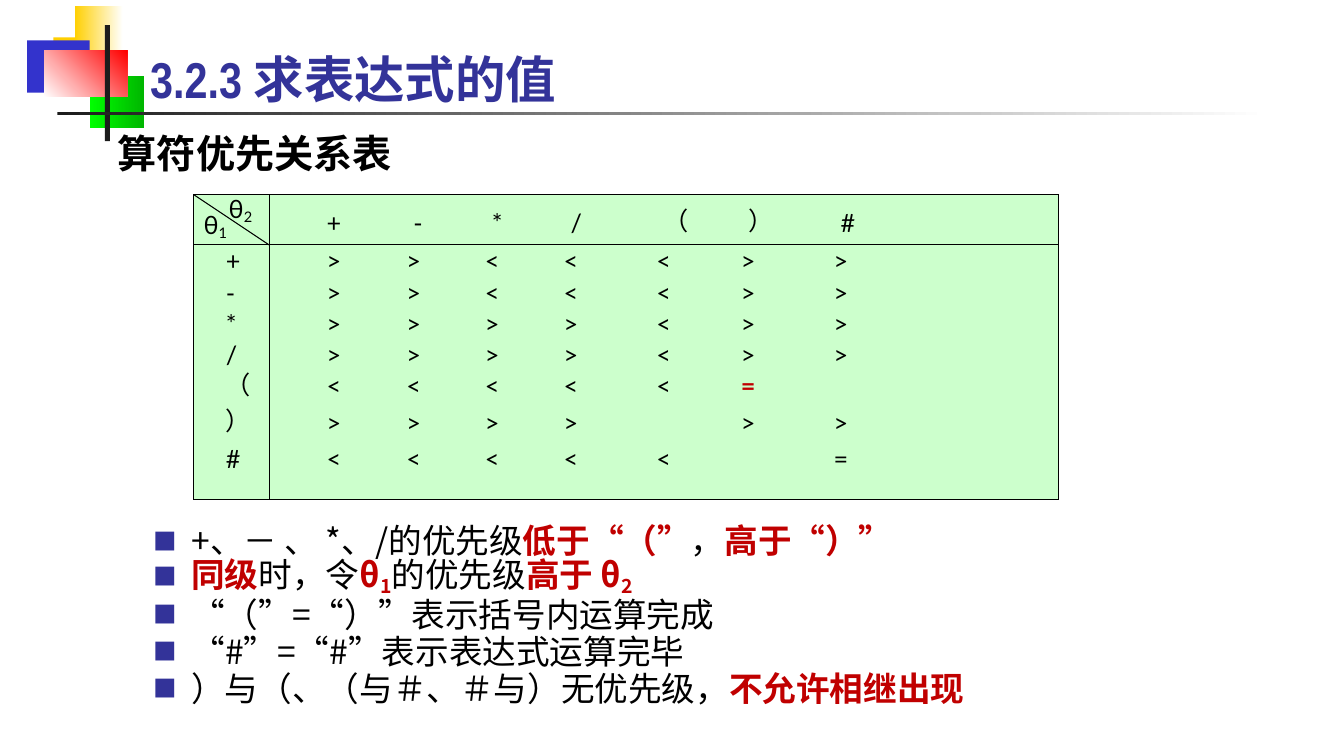
import pptx
import pptx.dml.color
import pptx.enum.shapes
import pptx.enum.text
import pptx.oxml
import pptx.oxml.ns
import pptx.util
import lxml.etree

RGB = pptx.dml.color.RGBColor
BLACK = RGB(0x00, 0x00, 0x00)
INK = RGB(0x1C, 0x1C, 0x1C)
WHITE = RGB(0xFF, 0xFF, 0xFF)
GOLD = RGB(0xFF, 0xCF, 0x01)
BLUE = RGB(0x33, 0x33, 0xCC)
NAVY = RGB(0x33, 0x33, 0x99)
LIME = RGB(0x00, 0xFF, 0x00)
GREEN = RGB(0x00, 0xB6, 0x00)
RED = RGB(0xFF, 0x00, 0x00)
CRIMSON = RGB(0xC0, 0x00, 0x00)
MINT = RGB(0xCC, 0xFF, 0xCC)

HAN = "Noto Sans CJK SC"
LATO = "Lato"
PLAIN, HOT, LOW, HOTLOW = "plain", "hot", "low", "hotlow"

SIGNS = ["+", "-", "*", "/", "（", "）", "#"]
RANKS = [
    [">", ">", "<", "<", "<", ">", ">"],
    [">", ">", "<", "<", "<", ">", ">"],
    [">", ">", ">", ">", "<", ">", ">"],
    [">", ">", ">", ">", "<", ">", ">"],
    ["<", "<", "<", "<", "<", "=", ""],
    [">", ">", ">", ">", "", ">", ">"],
    ["<", "<", "<", "<", "<", "", "="],
]
WIDTHS = [75, 116, 78, 78, 92, 84, 92, 243]
HEIGHTS = [50] + [31] * 6 + [56]
RULES = [
    [("+、－ 、 *、/的优先级", PLAIN), ("低于“（”", HOT), ("，", PLAIN),
     ("高于“）”", HOT)],
    [("同级", HOT), ("时，令", PLAIN), ("θ", HOT), ("1", HOTLOW),
     ("的优先级", PLAIN), ("高于 θ", HOT), ("2", HOTLOW)],
    [("“（”=“）”表示括号内运算完成", PLAIN)],
    [("“#”=“#”表示表达式运算完毕", PLAIN)],
    [("）与（、（与＃、＃与）无优先级，", PLAIN), ("不允许相继出现", HOT)],
]


def px(n):
    return pptx.util.Emu(n * 9144)


def node(up, tag, **attrs):
    """Append a DrawingML child element."""
    kid = lxml.etree.SubElement(up, pptx.oxml.ns.qn(tag))
    for key, val in attrs.items():
        kid.set(key, str(val))
    return kid


class Deck:
    def __init__(self):
        self.prs = pptx.Presentation()
        self.prs.slide_width, self.prs.slide_height = px(1333), px(750)
        self.slide = self.prs.slides.add_slide(self.prs.slide_layouts[5])
        self.shapes = self.slide.shapes

    def style(self, para, size, face, color=BLACK, bold=False):
        font = para.font
        font.size, font.name, font.bold = pptx.util.Pt(size), face, bold
        font.color.rgb = color
        node(font._element, "a:ea", typeface=HAN)

    def fill(self, para, parts):
        for text, kind in parts:
            run = para.add_run()
            run.text = text
            if kind in (HOT, HOTLOW):
                run.font.bold = True
                run.font.color.rgb = CRIMSON
            if kind in (LOW, HOTLOW):
                run.font._element.set("baseline", "-16000")

    def title(self, text, x, y, w, h):
        shape = self.shapes.title
        shape.left, shape.top, shape.width, shape.height = map(px, (x, y, w, h))
        frame = shape.text_frame
        frame.auto_size = pptx.enum.text.MSO_AUTO_SIZE.NONE
        frame.margin_top = frame.margin_bottom = 0
        frame.vertical_anchor = pptx.enum.text.MSO_ANCHOR.TOP
        frame.text = text
        para = frame.paragraphs[0]
        para.alignment = pptx.enum.text.PP_ALIGN.LEFT
        self.style(para, 36, "Arial Narrow", NAVY, True)

    def block(self, x, y, w, h, color, end=None, angle=0):
        """Draw a borderless rectangle, with a gradient if end is given."""
        kind = pptx.enum.shapes.MSO_SHAPE.RECTANGLE
        shape = self.shapes.add_shape(kind, *map(px, (x, y, w, h)))
        shape.shadow.inherit = False
        shape.line.fill.background()
        if end is None:
            shape.fill.solid()
            shape.fill.fore_color.rgb = color
            return
        shape.fill.gradient()
        shape.fill.gradient_angle = angle
        for stop, tone in zip(shape.fill.gradient_stops, (color, end)):
            stop.color.rgb = tone

    def line(self, x1, y1, x2, y2):
        kind = pptx.enum.shapes.MSO_CONNECTOR.STRAIGHT
        line = self.shapes.add_connector(kind, *map(px, (x1, y1, x2, y2)))
        line.line.color.rgb = BLACK
        line.line.width = pptx.util.Pt(0.75)
        node(line._element.spPr, "a:effectLst")

    def text(self, x, y, w, h, paras, size, face, bold=False, pitch=None,
             bullet=False):
        frame = self.shapes.add_textbox(*map(px, (x, y, w, h))).text_frame
        frame.word_wrap = True
        for i, parts in enumerate(paras):
            para = frame.add_paragraph() if i else frame.paragraphs[0]
            if pitch:
                para.line_spacing = pptx.util.Pt(pitch)
            if bullet:
                self.bullet(para)
            self.style(para, size, face, bold=bold)
            self.fill(para, parts)

    def bullet(self, para):
        props = para._p.get_or_add_pPr()
        props.set("marL", str(px(38)))
        props.set("indent", str(px(-38)))
        node(node(props, "a:buClr"), "a:srgbClr", val=NAVY)
        node(props, "a:buSzPct", val=70000)
        node(props, "a:buFont", typeface=HAN)
        node(props, "a:buChar", char="■")

    def cell(self, cell, text, left, top, hot, sides):
        cell.fill.solid()
        cell.fill.fore_color.rgb = MINT
        cell.margin_left, cell.margin_top = px(left), px(top)
        cell.margin_right = cell.margin_bottom = 0
        cell.vertical_anchor = pptx.enum.text.MSO_ANCHOR.TOP
        para = cell.text_frame.paragraphs[0]
        para.line_spacing = pptx.util.Pt(18)
        self.style(para, 18, LATO)
        if text:
            self.fill(para, [(text, HOT if hot else PLAIN)])
        props = cell._tc.get_or_add_tcPr()
        for i, side in enumerate("LRTB"):
            edge = node(props, "a:ln" + side, w=9525)
            if side in sides:
                node(node(edge, "a:solidFill"), "a:srgbClr", val=BLACK)
            else:
                node(edge, "a:noFill")
            props.insert(i, edge)

    def table(self, x, y, rows):
        size = len(rows), len(rows[0])
        area = map(px, (x, y, sum(WIDTHS), sum(HEIGHTS)))
        table = self.shapes.add_table(*size, *area).table
        table.first_row = table.horz_banding = False
        look = table._tbl.tblPr.find(pptx.oxml.ns.qn("a:tableStyleId"))
        look.text = "{2D5ABB26-0587-4C30-8999-92F81FD0307C}"
        for col, width in zip(table.columns, WIDTHS):
            col.width = px(width)
        for row, height in zip(table.rows, HEIGHTS):
            row.height = px(height)
        for r, signs in enumerate(rows):
            for c, sign in enumerate(signs):
                left = {0: 32, 1: 57}.get(c, 20 if r else 27)
                sides = "".join(side for side, on in (
                    ("L", c < 2), ("R", c in (0, size[1] - 1)),
                    ("T", r < 2), ("B", r in (0, size[0] - 1))) if on)
                hot = (r, c) == (5, 6)
                self.cell(table.cell(r, c), sign, left, 6 if r else 18,
                          hot, sides)


def main():
    deck = Deck()
    deck.block(53, 37, 64, 52, GOLD)
    deck.block(74, 6, 48, 52, GOLD, WHITE)
    deck.block(27, 40, 62, 52, BLUE)
    deck.block(89, 75, 54, 52, LIME, GREEN)
    deck.block(44, 50, 82, 46, WHITE, RED, 45)
    deck.block(104, 25, 5, 115, INK)
    deck.block(57, 111, 1200, 3, INK, WHITE)
    deck.title("3.2.3 求表达式的值", 139, 48, 850, 74)
    deck.text(107, 123, 850, 66, [[("算符优先关系表", PLAIN)]], 28, HAN, True)
    deck.text(142, 514, 898, 192, RULES, 24, HAN, pitch=26.4, bullet=True)
    body = [[sign] + rank for sign, rank in zip(SIGNS, RANKS)]
    deck.table(192, 193, [[""] + SIGNS] + body)
    deck.line(192, 193, 267, 243)
    for x, y, w, mark in ((192, 203, 75, "1"), (217, 187, 59, "2")):
        deck.text(x, y, w, 40, [[("θ", PLAIN), (mark, LOW)]], 18, LATO)
    deck.prs.save("out.pptx")


if __name__ == "__main__":
    main()
